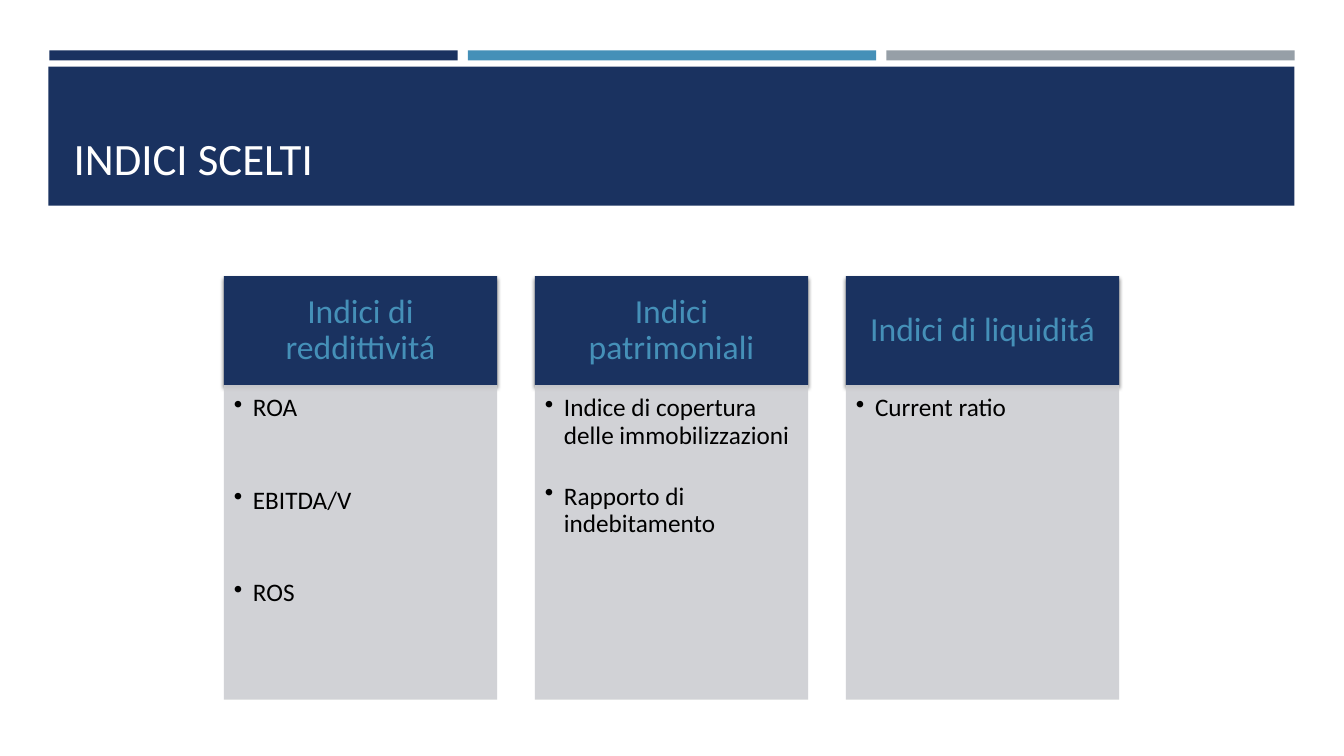
from dataclasses import dataclass

from lxml.etree import SubElement
from pptx import Presentation
from pptx.dml.color import RGBColor
from pptx.enum.shapes import MSO_SHAPE
from pptx.enum.text import MSO_ANCHOR, PP_ALIGN
from pptx.oxml.ns import qn
from pptx.util import Inches, Pt


@dataclass(frozen=True)
class Theme:
    navy: str = "1A3260"
    blue: str = "4590B8"
    gray: str = "969FA7"
    pale: str = "CDCED2"
    white: str = "FFFFFF"
    black: str = "000000"
    font: str = "Calibri"
    title: int = 32
    head: int = 24
    body: int = 18


THEME = Theme()

# Heading, points between items, items
GROUPS = [
    ("Indici di reddittivitá", 46.6, ["ROA", "EBITDA/V", "ROS"]),
    ("Indici patrimoniali", 24.5,
     ["Indice di copertura delle immobilizzazioni", "Rapporto di indebitamento"]),
    ("Indici di liquiditá", 0, ["Current ratio"]),
]


def add_rect(slide, box, color):
    rect = slide.shapes.add_shape(MSO_SHAPE.RECTANGLE, *map(Inches, box))
    rect.shadow.inherit = False
    rect.fill.solid()
    rect.fill.fore_color.rgb = RGBColor.from_string(color)
    rect.line.fill.background()
    return rect


def set_frame(shape, insets, anchor):
    """Wrap the text and set left, top, right and bottom insets in inches."""
    frame = shape.text_frame
    frame.word_wrap = True
    frame.vertical_anchor = anchor
    (frame.margin_left, frame.margin_top,
     frame.margin_right, frame.margin_bottom) = map(Inches, insets)
    return frame


def style(para, size, color, align=PP_ALIGN.LEFT):
    para.alignment = align
    para.font.name = THEME.font
    para.font.size = Pt(size)
    para.font.color.rgb = RGBColor.from_string(color)


def add_shade(shape):
    """Cast a soft shadow straight down."""
    effects = shape._element.spPr.find(qn("a:effectLst"))
    shade = SubElement(effects, qn("a:outerShdw"), blurRad=str(Pt(3)),
                       dist=str(Pt(2)), dir="5400000", rotWithShape="0")
    tint = SubElement(shade, qn("a:srgbClr"), val=THEME.black)
    SubElement(tint, qn("a:alpha"), val="55000")


def add_bullet(para):
    props = para._p.get_or_add_pPr()
    props.set("marL", str(Inches(0.19)))
    props.set("indent", str(Inches(-0.19)))
    SubElement(props, qn("a:buChar"), char="•")


def add_bars(slide, left, top, width):
    """Lay three equal stripes across the width."""
    gap = 0.1
    size = (width - 2 * gap) / 3
    for i, color in enumerate((THEME.navy, THEME.blue, THEME.gray)):
        add_rect(slide, (left + i * (size + gap), top, size, 0.1), color)


def add_title(slide, left, top, width, height, text):
    band = add_rect(slide, (left, top, width, height), THEME.navy)
    frame = set_frame(band, (0.25, 0.19, 0.25, 0.21), MSO_ANCHOR.BOTTOM)
    frame.text = text
    style(frame.paragraphs[0], THEME.title, THEME.white)


def add_head(slide, box, text):
    head = add_rect(slide, box, THEME.navy)
    add_shade(head)
    frame = set_frame(head, (0.19, 0.11, 0.19, 0.11), MSO_ANCHOR.MIDDLE)
    frame.text = text
    para = frame.paragraphs[0]
    para.line_spacing = 0.9
    style(para, THEME.head, THEME.blue, PP_ALIGN.CENTER)


def add_list(slide, box, items, gap):
    panel = add_rect(slide, box, THEME.pale)
    tint = panel._element.spPr.find(qn("a:solidFill"))[0]
    SubElement(tint, qn("a:alpha"), val="90000")
    frame = set_frame(panel, (0.1, 0.1, 0.14, 0.16), MSO_ANCHOR.TOP)
    frame.text = "\n".join(items)
    for i, para in enumerate(frame.paragraphs):
        para.line_spacing = 0.9
        if i:
            para.space_before = Pt(gap)
        add_bullet(para)
        style(para, THEME.body, THEME.black)


def add_groups(slide, left, top, width, height):
    """Place one headed list per group in equal columns."""
    size, head = 2.71, 1.08
    step = (width - size) / (len(GROUPS) - 1)
    for i, (name, gap, items) in enumerate(GROUPS):
        x = left + i * step
        add_head(slide, (x, top, size, head), name)
        add_list(slide, (x, top + head, size, height - head), items, gap)


def main():
    deck = Presentation()
    deck.slide_width = Inches(13.33)
    deck.slide_height = Inches(7.5)
    slide = deck.slides.add_slide(deck.slide_layouts[6])
    add_bars(slide, 0.49, 0.5, 12.35)
    add_title(slide, 0.48, 0.66, 12.36, 1.38, "INDICI SCELTI")
    add_groups(slide, 2.22, 2.74, 8.88, 4.2)
    deck.save("out.pptx")


if __name__ == "__main__":
    main()
